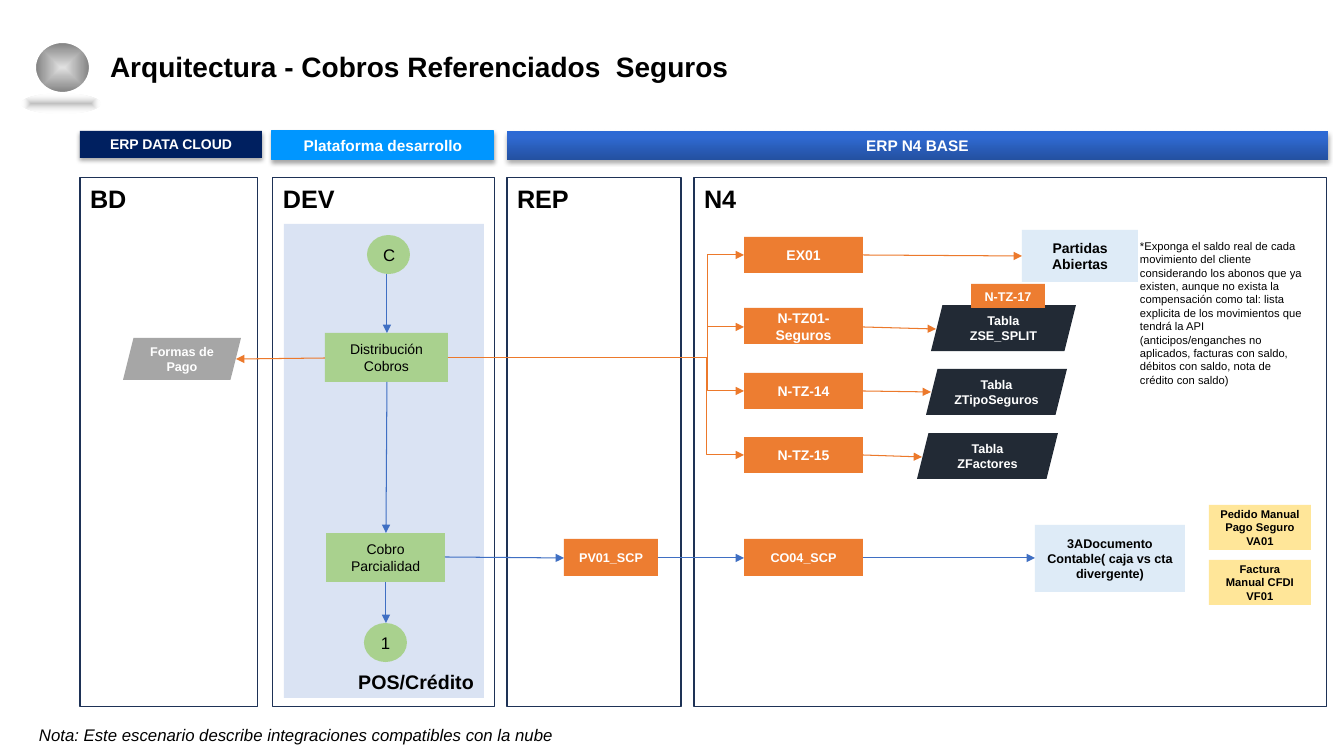
from lxml import etree
from pptx import Presentation
from pptx.dml.color import RGBColor
from pptx.enum.shapes import MSO_CONNECTOR, MSO_SHAPE
from pptx.enum.text import MSO_ANCHOR, PP_ALIGN
from pptx.oxml import parse_xml
from pptx.oxml.ns import nsdecls, qn
from pptx.util import Pt

RECT, OVAL, SLANTED = MSO_SHAPE.RECTANGLE, MSO_SHAPE.OVAL, MSO_SHAPE.PARALLELOGRAM
STRAIGHT, ELBOW = MSO_CONNECTOR.STRAIGHT, MSO_CONNECTOR.ELBOW
TOP, MIDDLE, BOTTOM = MSO_ANCHOR.TOP, MSO_ANCHOR.MIDDLE, MSO_ANCHOR.BOTTOM
LEFT, CENTER, RIGHT = PP_ALIGN.LEFT, PP_ALIGN.CENTER, PP_ALIGN.RIGHT

EMU_PER_PX = 914400 / 100.8
FONT = "Arial"
COLORS = {
    "black": "000000", "white": "FFFFFF", "frame": "1E3256", "panel": "DAE3F3",
    "green": "A9D18E", "orange": "ED7D31", "ice": "DEEBF7", "dark": "222A35",
    "yellow": "FFE699", "gray": "A6A6A6", "navy": "002060", "sky": "0096FF",
    "blue_arrow": "3F6FC3", "orange_arrow": "EC792B",
    "silver": "E0E0E0", "steel": "808080",
    "deep_blue": "2451A1", "mid_blue": "2F69D1", "bright_blue": "2C69D5",
}
FROM_CENTER = ('<a:path path="rect"><a:fillToRect l="50000" t="50000" '
               'r="50000" b="50000"/></a:path>')
UPWARD = '<a:lin ang="16200000" scaled="0"/>'


def px(value):
    return round(value * EMU_PER_PX)


def color(name):
    return RGBColor.from_string(COLORS[name])


def write_text(box, text, size=10, ink="black", bold=False, italic=False,
               align=LEFT, anchor=TOP, line_spacing=None):
    frame = box.text_frame
    frame.word_wrap = True
    frame.vertical_anchor = anchor
    frame.margin_left = frame.margin_right = px(10)
    frame.margin_top = frame.margin_bottom = px(5)
    for index, line in enumerate(text.split("\n")):
        para = frame.add_paragraph() if index else frame.paragraphs[0]
        para.alignment = align
        if line_spacing:
            para.line_spacing = line_spacing
        span = para.add_run()
        span.text = line
        span.font.name = FONT
        span.font.size = Pt(size)
        span.font.bold = bold
        span.font.italic = italic
        span.font.color.rgb = color(ink)


def add_box(page, kind, place, fill=None, line=None, width=0.75, text="", **text_format):
    box = page.shapes.add_shape(kind, *map(px, place))
    box.shadow.inherit = False
    if fill:
        box.fill.solid()
        box.fill.fore_color.rgb = color(fill)
    else:
        box.fill.background()
    if line:
        box.line.color.rgb = color(line)
        box.line.width = Pt(width)
    else:
        box.line.fill.background()
    if text:
        write_text(box, text, **text_format)
    return box


def add_label(page, place, text, **text_format):
    write_text(page.shapes.add_textbox(*map(px, place)), text, **text_format)


def add_node(page, kind, place, fill, text, size=10, ink="black", bold=True):
    add_box(page, kind, place, fill, text=text, size=size, ink=ink, bold=bold,
            align=CENTER, anchor=MIDDLE)


def set_gradient(box, stops, direction):
    marks = "".join(
        f'<a:gs pos="{position * 1000}"><a:srgbClr val="{COLORS[name]}">'
        f'<a:alpha val="{opacity * 1000}"/></a:srgbClr></a:gs>'
        for position, name, opacity in stops)
    gradient = parse_xml(f'<a:gradFill {nsdecls("a")} rotWithShape="1">'
                         f'<a:gsLst>{marks}</a:gsLst>{direction}</a:gradFill>')
    properties = box.element.spPr
    properties.replace(properties.find(qn("a:noFill")), gradient)


def add_banner(page, place, text, size, fill=None, line=None):
    banner = add_box(page, RECT, place, fill, line, text=text, size=size,
                     ink="white", bold=True, align=CENTER)
    effects = banner.element.spPr.find(qn("a:effectLst"))
    shadow = etree.SubElement(effects, qn("a:outerShdw"), blurRad="39370", dist="22860",
                              dir="5400000", rotWithShape="0")
    shade = etree.SubElement(shadow, qn("a:srgbClr"), val=COLORS["black"])
    etree.SubElement(shade, qn("a:alpha"), val="35000")
    return banner


def add_arrow(page, start, end, ink, kind=STRAIGHT, bend=None):
    arrow = page.shapes.add_connector(kind, *map(px, start + end))
    arrow.line.color.rgb = color(ink)
    arrow.line.width = Pt(0.75)
    properties = arrow.element.spPr
    etree.SubElement(properties.find(qn("a:ln")), qn("a:tailEnd"), type="triangle")
    etree.SubElement(properties, qn("a:effectLst"))
    if bend:
        guides = properties.find(qn("a:prstGeom")).get_or_add_avLst()
        etree.SubElement(guides, qn("a:gd"), name="adj1", fmla=f"val {bend}")


def add_title(page, text):
    title = page.shapes.title
    title.left, title.top, title.width, title.height = map(px, (100, 48, 971, 40))
    write_text(title, text, size=20, bold=True, line_spacing=0.9)


def add_emblem(page):
    sphere = add_box(page, OVAL, (35, 42, 55, 51), line="white", width=1.5)
    set_gradient(sphere, [(0, "silver", 100), (100, "steel", 100)], FROM_CENTER)
    floor = add_box(page, OVAL, (22, 94, 78, 19))
    set_gradient(floor, [(0, "steel", 50), (100, "white", 0)], FROM_CENTER)


def add_columns(page):
    for name, left, width in (("BD", 80, 178), ("DEV", 273, 222),
                              ("REP", 507, 174), ("N4", 694, 633)):
        add_box(page, RECT, (left, 178, width, 529), line="frame",
                text=name, size=18, bold=True)
    add_banner(page, (80, 131, 182, 27), "ERP DATA CLOUD", 10, "navy")
    add_banner(page, (272, 131, 222, 29), "Plataforma desarrollo", 11, "sky", "sky")
    core = add_banner(page, (507, 131, 821, 29), "ERP N4 BASE", 11)
    set_gradient(core, [(0, "deep_blue", 100), (80, "mid_blue", 100),
                        (100, "bright_blue", 100)], UPWARD)


def add_nodes(page):
    for text, left, top in (("C", 367, 235), ("1", 364, 623)):
        add_node(page, OVAL, (left, top, 43, 39), "green", text, size=12, bold=False)
    for text, left, top, width in (("Distribución Cobros", 325, 333, 123),
                                   ("Cobro Parcialidad", 326, 533, 119)):
        add_node(page, RECT, (left, top, width, 49), "green", text, bold=False)
    for text, top in (("EX01", 237), ("N-TZ01-Seguros", 308),
                      ("N-TZ-14", 373), ("N-TZ-15", 437)):
        add_node(page, RECT, (744, top, 119, 36), "orange", text, ink="white")
    for text, left, width in (("PV01_SCP", 564, 94), ("CO04_SCP", 744, 119)):
        add_node(page, RECT, (left, 539, width, 37), "orange", text, size=9, ink="white")
    for text, left, top, width, height, fill in (
            ("Formas de Pago", 123, 338, 118, 42, "gray"),
            ("Tabla\nZSE_SPLIT", 931, 305, 145, 46, "dark"),
            ("Tabla ZTipoSeguros", 926, 369, 141, 46, "dark"),
            ("Tabla ZFactores", 917, 433, 141, 46, "dark")):
        add_node(page, SLANTED, (left, top, width, height), fill, text, size=9, ink="white")
    add_node(page, RECT, (971, 284, 74, 24), "orange", "N-TZ-17", size=9, ink="white")
    add_node(page, RECT, (1022, 230, 116, 52), "ice", "Partidas Abiertas")
    add_node(page, RECT, (1035, 525, 150, 67), "ice",
             "3ADocumento Contable( caja vs cta divergente)", size=9)
    for text, top in (("Pedido Manual\nPago Seguro VA01", 505),
                      ("Factura Manual CFDI VF01", 560)):
        add_node(page, RECT, (1209, top, 102, 45), "yellow", text, size=8)


def add_arrows(page):
    for start, end in (((387, 274), (387, 333)), ((387, 382), (386, 533)),
                       ((386, 582), (386, 623)), ((445, 557), (564, 558)),
                       ((658, 558), (744, 558)), ((863, 558), (1035, 558))):
        add_arrow(page, start, end, "blue_arrow")
    add_arrow(page, (325, 358), (236, 359), "orange_arrow")
    for level, bend, target in ((255, 87600, (1022, 256)), (327, 87600, (936, 329)),
                                (391, 87800, (931, 392)), (455, 87300, (922, 457))):
        add_arrow(page, (448, 358), (744, level), "orange_arrow", ELBOW, bend)
        add_arrow(page, (863, level), target, "orange_arrow")


def main():
    deck = Presentation()
    deck.slide_width, deck.slide_height = px(1344), px(756)
    page = deck.slides.add_slide(deck.slide_layouts[5])
    add_title(page, "Arquitectura - Cobros Referenciados  Seguros")
    add_box(page, RECT, (284, 224, 200, 474), "panel", text="POS/Crédito",
            size=14, bold=True, align=RIGHT, anchor=BOTTOM)
    add_emblem(page)
    add_columns(page)
    add_nodes(page)
    add_arrows(page)
    add_label(page, (1130, 234, 186, 159),
              "*Exponga el saldo real de cada movimiento del cliente considerando los "
              "abonos que ya existen, aunque no exista la compensación como tal: lista "
              "explicita de los movimientos que tendrá la API (anticipos/enganches no "
              "aplicados, facturas con saldo, débitos con saldo, nota de crédito con saldo)",
              size=8)
    add_label(page, (29, 720, 581, 30),
              "Nota: Este escenario describe integraciones compatibles con la nube",
              size=12, italic=True)
    deck.save("out.pptx")


if __name__ == "__main__":
    main()
